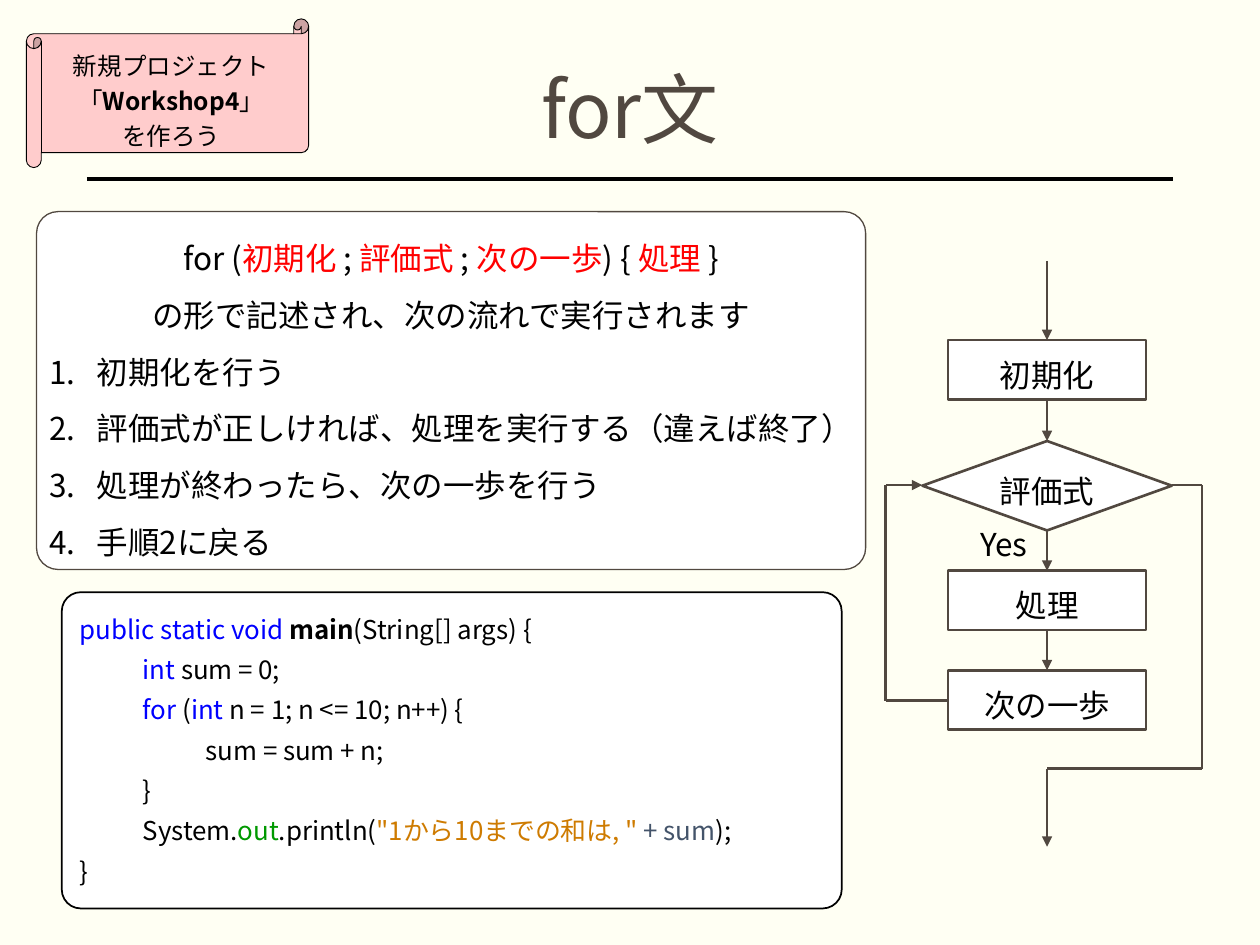
from dataclasses import dataclass

import pptx
import pptx.dml.color
import pptx.enum.shapes
import pptx.enum.text
import pptx.oxml.ns
import pptx.util
from lxml import etree

Inches = pptx.util.Inches
Pt = pptx.util.Pt
Shape = pptx.enum.shapes.MSO_SHAPE
Anchor = pptx.enum.text.MSO_ANCHOR
Align = pptx.enum.text.PP_ALIGN
qn = pptx.oxml.ns.qn


@dataclass(frozen=True)
class Theme:
    """Colours, font and type sizes of the slide."""
    font: str = "Noto Sans CJK JP"
    background: str = "FFFFF3"
    ink: str = "000000"
    brown: str = "514840"
    paper: str = "FFFFFF"
    pink: str = "FFCCCC"
    red: str = "FF0000"
    keyword: str = "0000FF"
    field: str = "009900"
    string: str = "CE7B00"
    operand: str = "44546A"
    title: float = 44
    body: float = 18
    code: float = 14.8
    note: float = 14


THEME = Theme()


def rgb(value):
    """Turn a hex string into a colour."""
    return pptx.dml.color.RGBColor.from_string(value)


def add_panel(slide, kind, box, fill, line, width, corner=None):
    """Add a filled, outlined preset shape in box."""
    shape = slide.shapes.add_shape(kind, *map(Inches, box))
    shape.shadow.inherit = False
    shape.fill.solid()
    shape.fill.fore_color.rgb = rgb(fill)
    shape.line.color.rgb = rgb(line)
    shape.line.width = Pt(width)
    if corner is not None:
        shape.adjustments[0] = corner
    return shape


def add_line(slide, start, end, color, width, arrow=False):
    """Add a straight line, with an arrowhead at its end if asked."""
    connector = slide.shapes.add_connector(
        pptx.enum.shapes.MSO_CONNECTOR.STRAIGHT, *map(Inches, (*start, *end)))
    connector.line.color.rgb = rgb(color)
    connector.line.width = Pt(width)
    if arrow:
        outline = connector.line._get_or_add_ln()
        etree.SubElement(outline, qn("a:tailEnd"), type="triangle")
    etree.SubElement(connector._element.spPr, qn("a:effectLst"))


def set_frame(shape, anchor=Anchor.TOP, top=0.05, bottom=0.05, wrap=True):
    """Set anchor, insets and wrapping, and return the text frame."""
    frame = shape.text_frame
    frame.vertical_anchor = anchor
    frame.margin_left = frame.margin_right = Inches(0.1)
    frame.margin_top, frame.margin_bottom = Inches(top), Inches(bottom)
    frame.word_wrap = wrap
    return frame


def write(frame, lines, size, align=Align.LEFT, spacing=None, color=THEME.ink):
    """Write lines, each a list of (text, colour, bold) runs, and return the paragraphs."""
    paragraphs = []
    for index, runs in enumerate(lines):
        paragraph = frame.add_paragraph() if index else frame.paragraphs[0]
        paragraph.alignment = align
        paragraph.line_spacing = spacing
        paragraph.font.name = THEME.font
        paragraph.font.size = Pt(size)
        paragraph.font.color.rgb = rgb(color)
        etree.SubElement(paragraph.font._element, qn("a:ea"), typeface=THEME.font)
        for text, run_color, bold in runs:
            run = paragraph.add_run()
            run.text = text
            if run_color or len(runs) > 1:
                run.font.color.rgb = rgb(run_color or color)
            if bold:
                run.font.bold = True
        paragraphs.append(paragraph)
    return paragraphs


def plain(text):
    """Return a line of one run in the paragraph's own style."""
    return [(text, None, False)]


def colored(*pairs):
    """Return a line of runs from (text, colour) pairs."""
    return [(text, color, False) for text, color in pairs]


def indent(paragraph, left, first=0, numbered=False):
    """Indent a paragraph and number it if asked."""
    properties = paragraph._p.get_or_add_pPr()
    properties.set("marL", str(Inches(left)))
    properties.set("indent", str(Inches(first)))
    if numbered:
        number = etree.Element(qn("a:buAutoNum"), type="arabicPeriod")
        properties.find(qn("a:defRPr")).addprevious(number)


def add_title(slide, box):
    """Place the title and the rule below it."""
    left, top, width, height = box
    rule = top + height + 0.09
    add_line(slide, (left, rule), (left + width, rule), THEME.ink, 2)
    shape = slide.shapes.add_textbox(*map(Inches, box))
    write(set_frame(shape, Anchor.MIDDLE), [plain("for文")], THEME.title,
          Align.CENTER, 0.9, THEME.brown)


def add_syntax(slide, box):
    """Place the panel with the syntax and the numbered steps."""
    shape = add_panel(slide, Shape.ROUNDED_RECTANGLE, box,
                      THEME.paper, THEME.brown, 0.75, 0.06)
    frame = set_frame(shape, Anchor.MIDDLE, 0.04, 0.04, wrap=False)
    red = THEME.red
    syntax = colored(("for (", None), ("初期化 ", red), ("; ", None), ("評価式 ", red),
                     ("; ", None), ("次の一歩", red), (") { ", None), ("処理 ", red),
                     ("}", None))
    steps = ("初期化を行う", "評価式が正しければ、処理を実行する（違えば終了）",
             "処理が終わったら、次の一歩を行う", "手順2に戻る")
    lines = [syntax, plain("の形で記述され、次の流れで実行されます"), *map(plain, steps)]
    paragraphs = write(frame, lines, THEME.body, spacing=1.5)
    for paragraph in paragraphs[:2]:
        paragraph.alignment = Align.CENTER
    for paragraph in paragraphs[2:]:
        indent(paragraph, 0.38, -0.38, numbered=True)


def add_code(slide, box):
    """Place the panel with the sample program."""
    shape = add_panel(slide, Shape.ROUNDED_RECTANGLE, box,
                      THEME.paper, THEME.ink, 1, 0.06)
    keyword = THEME.keyword
    program = [
        (0, [("public static void ", keyword, False), ("main", None, True),
             ("(String[] args) {", None, False)]),
        (1, colored(("int", keyword), (" sum = 0;", None))),
        (1, colored(("for", keyword), (" (", None), ("int", keyword),
                    (" n = 1; n <= 10; n++) {", None))),
        (2, plain("sum = sum + n;")),
        (1, plain("}")),
        (1, colored(("System.", None), ("out", THEME.field), (".println(", None),
                    ('"1から10までの和は, " ', THEME.string),
                    ("+ sum", THEME.operand), (");", None))),
        (0, plain("}")),
    ]
    paragraphs = write(set_frame(shape), [line for _, line in program],
                       THEME.code, spacing=1.3)
    for paragraph, (depth, _) in zip(paragraphs, program):
        indent(paragraph, 0.5 * depth)


def add_flowchart(slide, box):
    """Place the flowchart of the loop."""
    left, top, width, height = box
    right, bottom, center = left + width, top + height, left + 1.28
    steps = [("初期化", Shape.FLOWCHART_PROCESS, 0.63, 1.57, 0.47),
             ("評価式", Shape.FLOWCHART_DECISION, 1.43, 1.98, 0.71),
             ("処理", Shape.FLOWCHART_PROCESS, 2.46, 1.57, 0.47),
             ("次の一歩", Shape.FLOWCHART_PROCESS, 3.25, 1.57, 0.47)]
    above = top
    for text, kind, offset, step_width, step_height in steps:
        place = (center - step_width / 2, top + offset, step_width, step_height)
        shape = add_panel(slide, kind, place, THEME.paper, THEME.brown, 1.5)
        write(set_frame(shape, Anchor.MIDDLE, 0.08, 0), [plain(text)],
              THEME.body, Align.CENTER)
        add_line(slide, (center, above), (center, top + offset), THEME.brown, 1.5, True)
        above = top + offset + step_height
    test, last, leave = top + 1.78, top + 3.49, top + 4.03
    back = [(center - 0.79, last), (left, last), (left, test), (center - 0.99, test)]
    out = [(center + 0.99, test), (right, test), (right, leave),
           (center, leave), (center, bottom)]
    for route in (back, out):
        for start, end in zip(route, route[1:]):
            add_line(slide, start, end, THEME.brown, 1.5, end == route[-1])
    label = slide.shapes.add_textbox(*map(Inches, (left + 0.65, top + 2.05, 0.82, 0.4)))
    write(set_frame(label), [plain("Yes")], THEME.body)


def add_note(slide, box):
    """Place the scroll that names the new project."""
    shape = add_panel(slide, Shape.HORIZONTAL_SCROLL, box,
                      THEME.pink, THEME.ink, 0.5, 0.1)
    lines = [plain("新規プロジェクト"),
             [("「", None, False), ("Workshop4", None, True), ("」", None, False)],
             plain("を作ろう")]
    write(set_frame(shape, Anchor.MIDDLE, 0.08, 0), lines, THEME.note,
          Align.CENTER, Pt(20))


def main():
    """Build the slide and save it."""
    presentation = pptx.Presentation()
    presentation.slide_width, presentation.slide_height = Inches(10), Inches(7.5)
    slide = presentation.slides.add_slide(presentation.slide_layouts[6])
    slide.background.fill.solid()
    slide.background.fill.fore_color.rgb = rgb(THEME.background)
    add_title(slide, (0.69, 0.47, 8.62, 0.86))
    add_syntax(slide, (0.29, 1.68, 6.58, 2.84))
    add_code(slide, (0.49, 4.7, 6.19, 2.51))
    add_flowchart(slide, (7.03, 2.07, 2.51, 4.65))
    add_note(slide, (0.21, 0.15, 2.24, 1.18))
    presentation.save("out.pptx")


if __name__ == "__main__":
    main()
